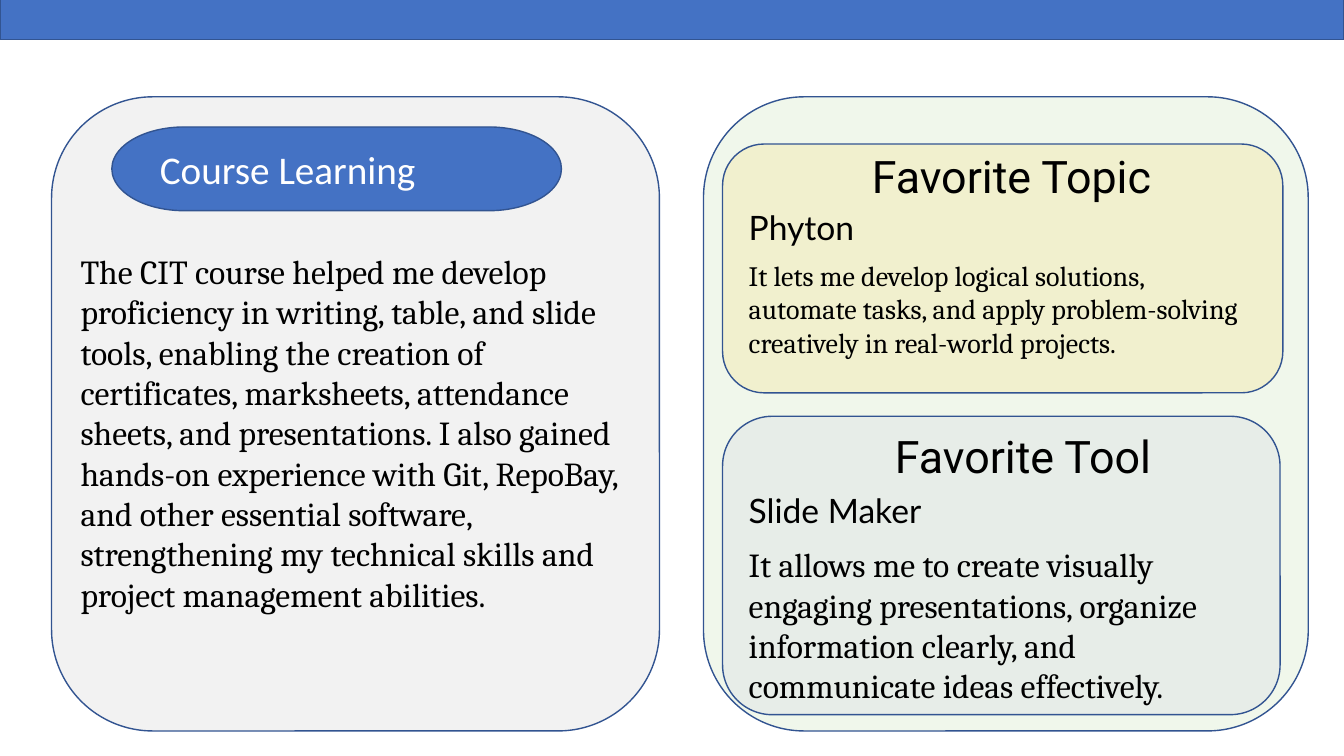
from lxml.etree import SubElement
from pptx import Presentation
from pptx.dml.color import RGBColor
from pptx.enum.shapes import MSO_SHAPE
from pptx.enum.text import MSO_AUTO_SIZE
from pptx.oxml.ns import qn
from pptx.util import Cm, Pt


def color(hex_string):
    return RGBColor.from_string(hex_string)


BLUE = "4472C4"
OUTLINE = "325491"
BLACK = "000000"
ROUNDED = MSO_SHAPE.ROUNDED_RECTANGLE

presentation = Presentation()
presentation.slide_width = Cm(33.87)
presentation.slide_height = Cm(19.05)
slide = presentation.slides.add_slide(presentation.slide_layouts[6])

panels = [
    (MSO_SHAPE.RECTANGLE, (0, -0.05, 33.87, 1.04), BLUE, 100),
    (ROUNDED, (1.3, 2.44, 15.32, 15.98), "F2F2F2", 100),
    (ROUNDED, (17.73, 2.44, 15.24, 15.98), "A9D18E", 17),
    (MSO_SHAPE.FLOWCHART_TERMINATOR, (2.82, 3.2, 11.33, 2.11), BLUE, 100),
    (ROUNDED, (18.21, 3.63, 14.12, 6.27), "FFC000", 12),
    (ROUNDED, (18.21, 10.49, 14.05, 7.52), "D6DCE5", 34),
]
for preset, box, fill, opacity in panels:
    shape = slide.shapes.add_shape(preset, *[Cm(length) for length in box])
    shape.shadow.inherit = False
    shape.fill.solid()
    shape.fill.fore_color.rgb = color(fill)
    shape.line.color.rgb = color(OUTLINE)
    shape.line.width = Pt(1)
    if opacity < 100:
        fill_color = shape.fill._xPr.find(qn("a:solidFill"))[0]
        SubElement(fill_color, qn("a:alpha"), val=str(opacity * 1000))

styles = {
    "banner": {"name": "Calibri", "size": Pt(28)},
    "heading": {"name": "Roboto", "size": Pt(32)},
    "choice": {"name": "Lato", "size": Pt(24)},
    "body": {"name": "Cambria", "size": Pt(24)},
    "small body": {"name": "Cambria", "size": Pt(20)},
}
texts = [
    ("body", (1.78, 6.2, 14.33, 11.28), BLACK,
     "The CIT course helped me develop proficiency in writing, table, and "
     "slide tools, enabling the creation of certificates, marksheets, "
     "attendance sheets, and presentations. I also gained hands-on "
     "experience with Git, RepoBay, and other essential software, "
     "strengthening my technical skills and project management abilities."),
    ("banner", (3.78, 3.53, 14.33, 1.45), "FFFFFF", "Course Learning"),
    ("heading", (21.72, 3.63, 11.94, 1.63), BLACK, "Favorite Topic"),
    ("choice", (18.62, 5.08, 4.98, 1.27), BLACK, "Phyton"),
    ("small body", (18.62, 6.38, 13.11, 2.82), BLACK,
     "It lets me develop logical solutions, automate tasks, and apply "
     "problem-solving creatively in real-world projects."),
    ("heading", (22.3, 10.67, 7.37, 1.63), BLACK, "Favorite Tool"),
    ("choice", (18.62, 12.22, 10.29, 1.27), BLACK, "Slide Maker"),
    ("body", (18.62, 13.59, 13.49, 4.37), BLACK,
     "It allows me to create visually engaging presentations, organize "
     "information clearly, and communicate ideas effectively."),
]
for style, box, text_color, text in texts:
    text_frame = slide.shapes.add_textbox(*[Cm(length) for length in box]).text_frame
    text_frame.word_wrap = True
    text_frame.auto_size = MSO_AUTO_SIZE.SHAPE_TO_FIT_TEXT
    run = text_frame.paragraphs[0].add_run()
    run.text = text
    run.font.color.rgb = color(text_color)
    for attribute, value in styles[style].items():
        setattr(run.font, attribute, value)

presentation.save("out.pptx")
